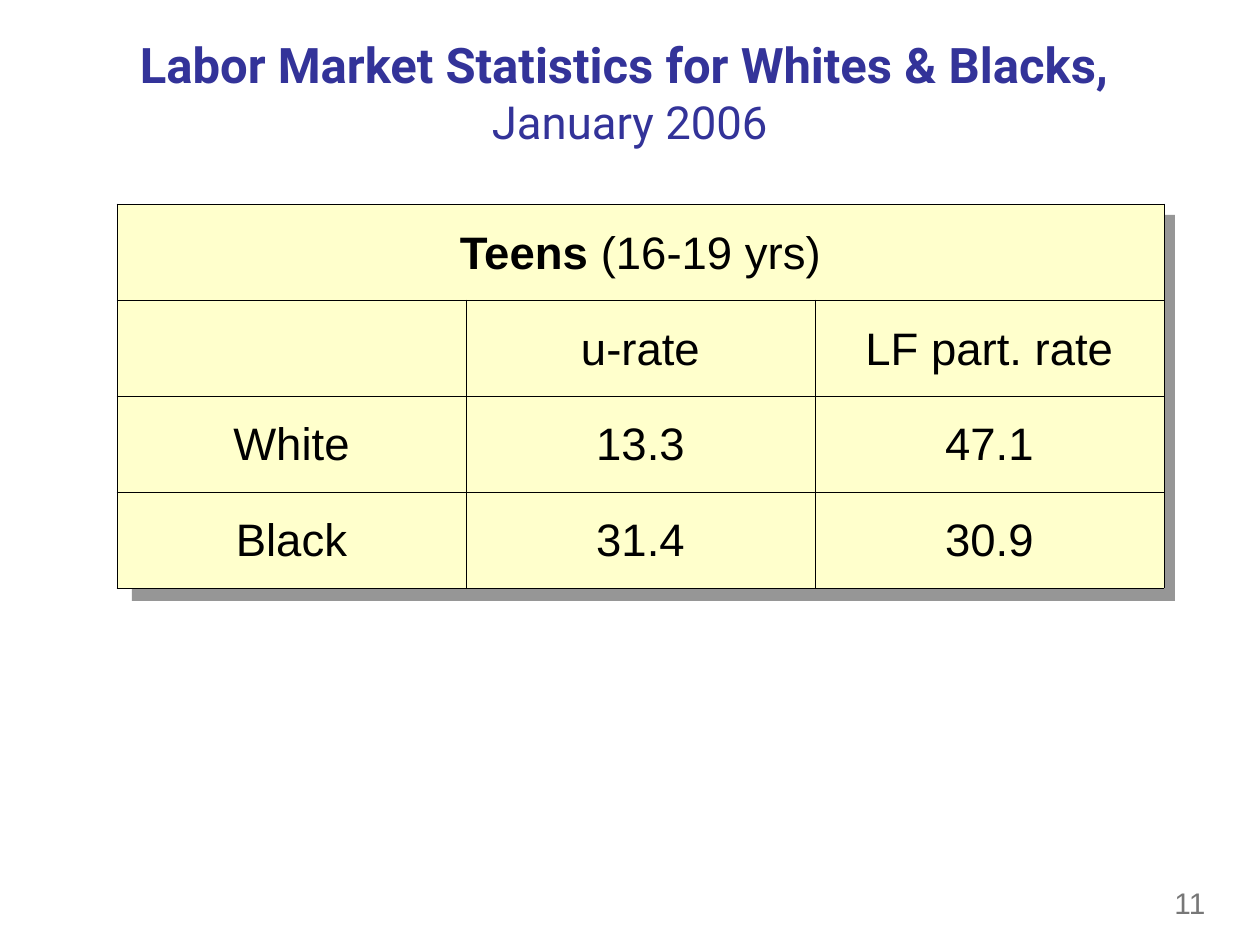
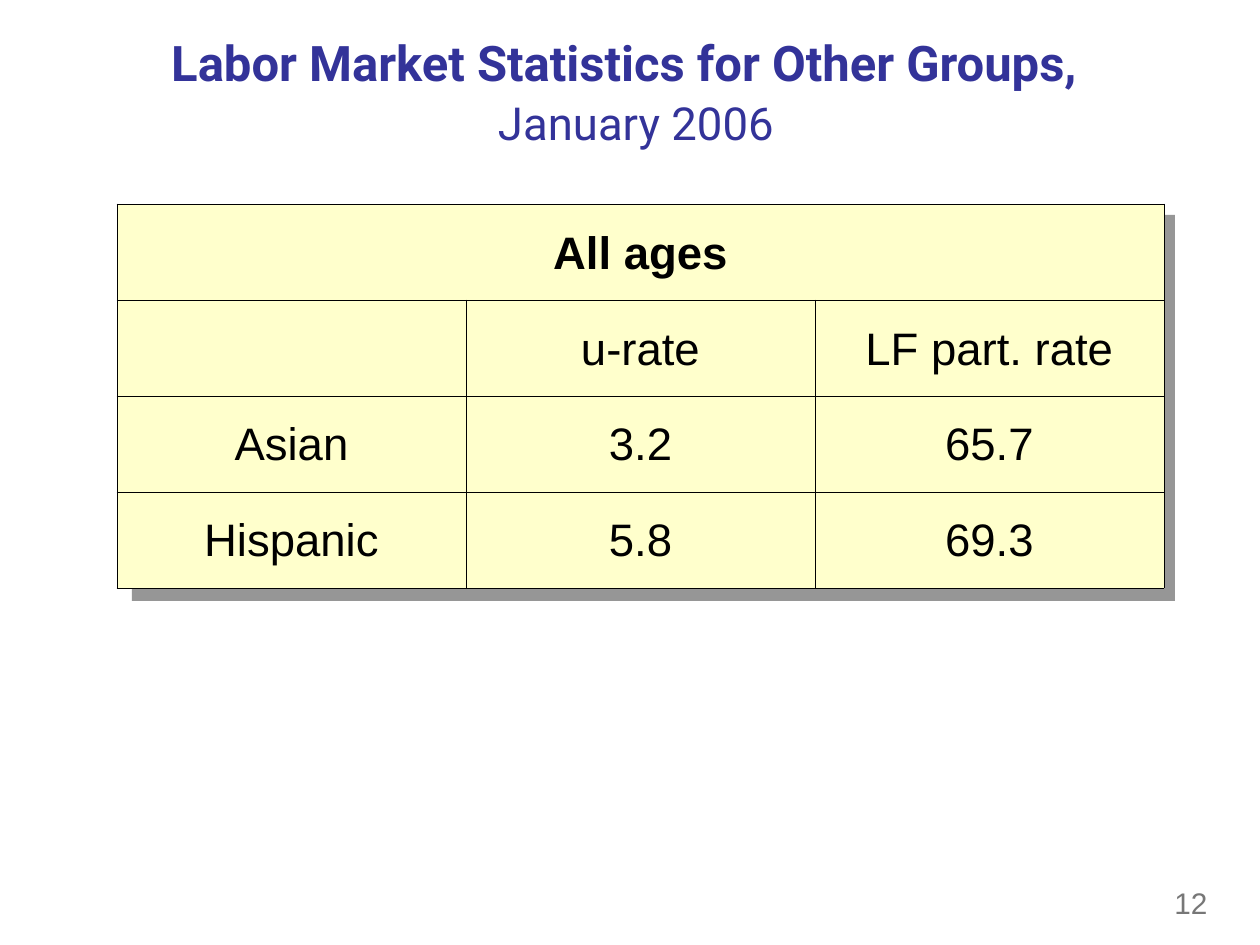
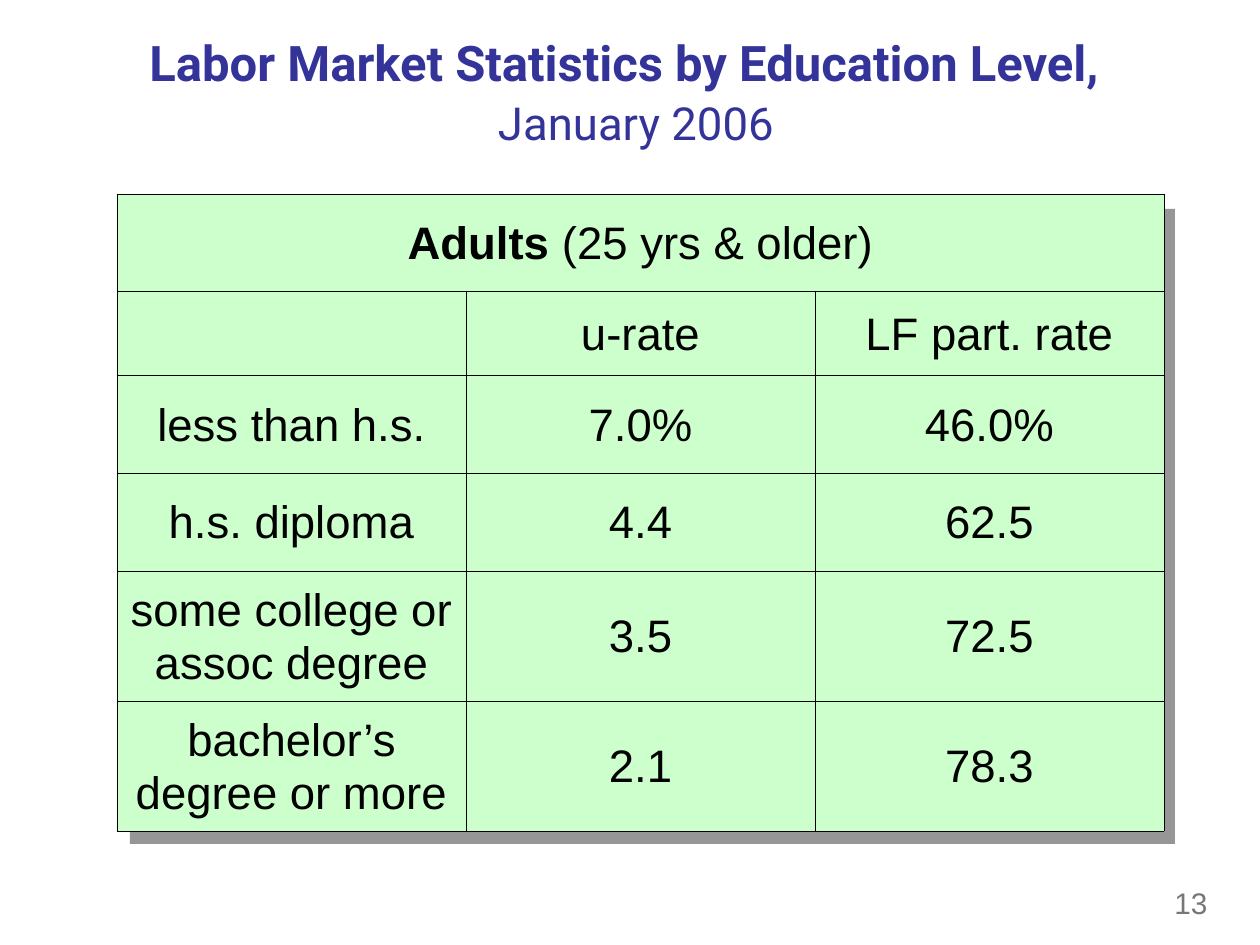
from lxml.etree import SubElement as Sub
from pptx import Presentation
from pptx.dml.color import RGBColor
from pptx.enum.shapes import MSO_SHAPE as Shape
from pptx.enum.text import MSO_ANCHOR as Anchor, MSO_AUTO_SIZE as Fit, PP_ALIGN as Align
from pptx.oxml.ns import qn
from pptx.util import Pt

PX = 914400 / 126
WIDE, HIGH = 1260, 945

NAVY = RGBColor(0x33, 0x33, 0x99)
BLACK = RGBColor(0x00, 0x00, 0x00)
GRAY = RGBColor(0x77, 0x77, 0x77)
SHADE = RGBColor(0x96, 0x96, 0x96)
CREAM = RGBColor(0xFF, 0xFF, 0xCC)
MINT = RGBColor(0xCC, 0xFF, 0xCC)

TITLE_BOX = (0, 31, WIDE, 121)
PAGE_BOX = (1162, 877, 84, 52)
LEFT, COL = 117, 349
DATE = "January 2006"
HEADS = ("", "u-rate", "LF part. rate")


def emu(*sizes):
    return [round(size * PX) for size in sizes]


def style(run, size, color, face="Arial", bold=False):
    font = run.font
    font.size, font.name, font.bold = Pt(size), face, bold
    font.color.rgb = color


# Title: bold topic, then the date on a second line
def add_title(slide, topic, lead, box):
    title = slide.shapes.title
    title.left, title.top, title.width, title.height = emu(*box)
    frame = title.text_frame
    frame.auto_size, frame.vertical_anchor = Fit.NONE, Anchor.MIDDLE
    para = frame.paragraphs[0]
    para.text = f"{topic}, \v{lead}"
    para.alignment = Align.CENTER
    for run in para.runs:
        style(run, 28, NAVY, "Roboto", True)
    for brk in para._p.findall(qn("a:br")):
        Sub(brk, qn("a:rPr"), sz="2800")
    date = para.add_run()
    date.text = DATE
    style(date, 26, NAVY, "Roboto")


# Page number in the lower right corner
def add_page(slide, number, box):
    frame = slide.shapes.add_textbox(*emu(*box)).text_frame
    frame.word_wrap, frame.vertical_anchor = True, Anchor.MIDDLE
    frame.text = str(number)
    style(frame.paragraphs[0].runs[0], 17, GRAY)


# Offset block behind the table
def add_shade(slide, box):
    block = slide.shapes.add_shape(Shape.RECTANGLE, *emu(*box))
    block.shadow.inherit = False
    block.fill.solid()
    block.fill.fore_color.rgb = SHADE
    block.line.fill.background()


def dress(cell, fill):
    props = cell._tc.get_or_add_tcPr()
    for side in "LRTB":
        line = Sub(props, qn(f"a:ln{side}"), w="5715")
        ink = Sub(line, qn("a:solidFill"))
        Sub(ink, qn("a:srgbClr"), val=str(BLACK))
    cell.fill.solid()
    cell.fill.fore_color.rgb = fill
    cell.vertical_anchor = Anchor.MIDDLE


def write(cell, text, bold=False):
    para = cell.text_frame.paragraphs[0]
    para.text = text
    para.alignment = Align.CENTER
    para.line_spacing, para.space_before = 1.05, Pt(14.6)
    for run in para.runs:
        style(run, 26, BLACK, bold=bold)
    return para


# Table: merged group row, column heads, data rows
def add_grid(slide, top, group, note, data, rows, fill):
    box = (LEFT, top, COL * len(HEADS), sum(rows))
    frame = slide.shapes.add_table(len(rows), len(HEADS), *emu(*box))
    table = frame.table
    table.first_row = table.horz_banding = False
    for col in table.columns:
        col.width = emu(COL)[0]
    for row, high in zip(table.rows, rows):
        row.height = emu(high)[0]
    for cell in table.iter_cells():
        dress(cell, fill)

    table.cell(0, 0).merge(table.cell(0, len(HEADS) - 1))
    para = write(table.cell(0, 0), group, True)
    if note:
        run = para.add_run()
        run.text = f" {note}"
        style(run, 26, BLACK)
    for r, line in enumerate((HEADS, *data), 1):
        for c, text in enumerate(line):
            if text:
                write(table.cell(r, c), text)


def add_slide(deck, number, topic, lead, shade, *grid):
    slide = deck.slides.add_slide(deck.slide_layouts[5])
    add_page(slide, number, PAGE_BOX)
    add_shade(slide, shade)
    add_title(slide, topic, lead, TITLE_BOX)
    add_grid(slide, *grid)


def main():
    deck = Presentation()
    deck.slide_width, deck.slide_height = emu(WIDE, HIGH)
    shade, even = (132, 215, 1043, 386), [96] * 4
    stats = "Labor Market Statistics"
    pages = (
        (f"{stats} for Whites & Blacks", "", shade, 204, "Teens", "(16-19 yrs)",
         (("White", "13.3", "47.1"), ("Black", "31.4", "30.9")), even, CREAM),
        (f"{stats} for Other Groups", " ", shade, 204, "All ages", "",
         (("Asian", "3.2", "65.7"), ("Hispanic", "5.8", "69.3")), even, CREAM),
        (f"{stats} by Education Level", " ", (130, 209, 1045, 635), 194,
         "Adults", "(25 yrs & older)",
         (("less than h.s.", "7.0%", "46.0%"),
          ("h.s. diploma", "4.4", "62.5"),
          ("some college or assoc degree", "3.5", "72.5"),
          ("bachelor’s degree or more", "2.1", "78.3")),
         [97, 84, 98, 98, 130, 130], MINT),
    )
    for number, page in enumerate(pages, 11):
        add_slide(deck, number, *page)
    deck.save("out.pptx")


if __name__ == "__main__":
    main()
